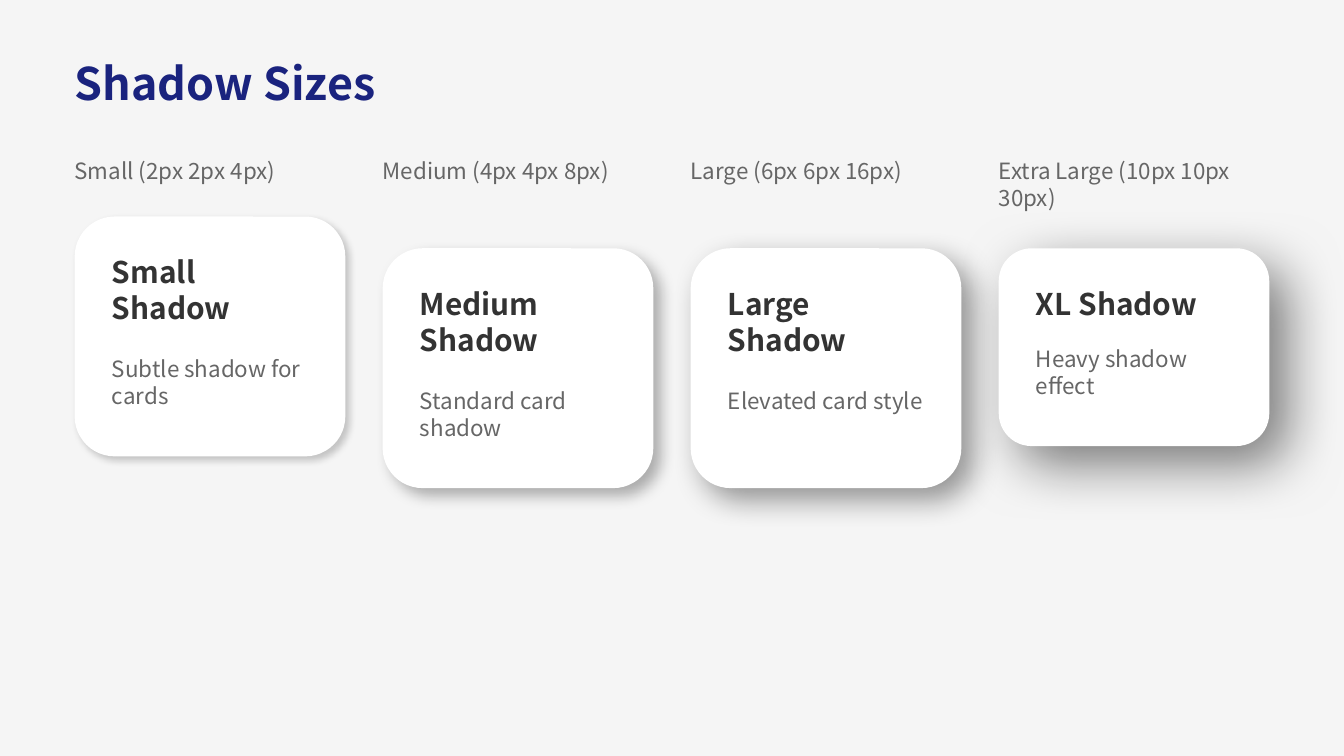
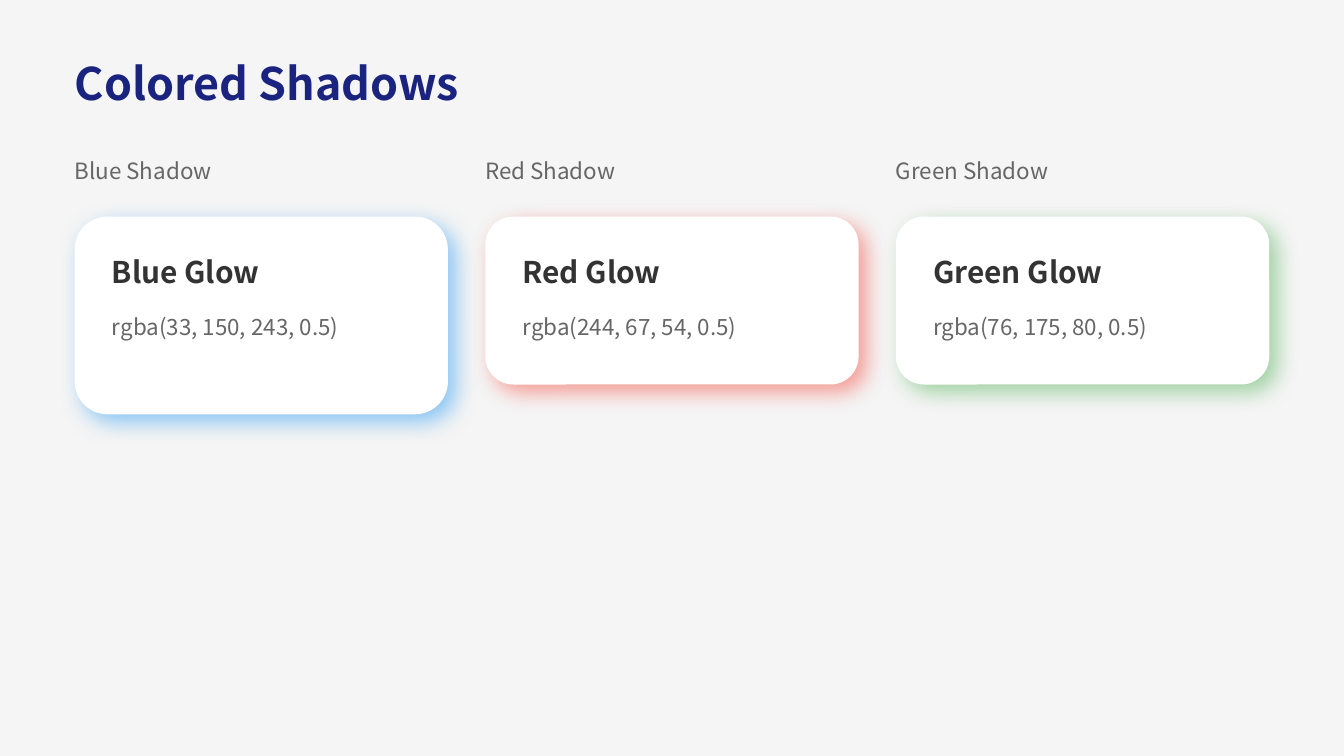
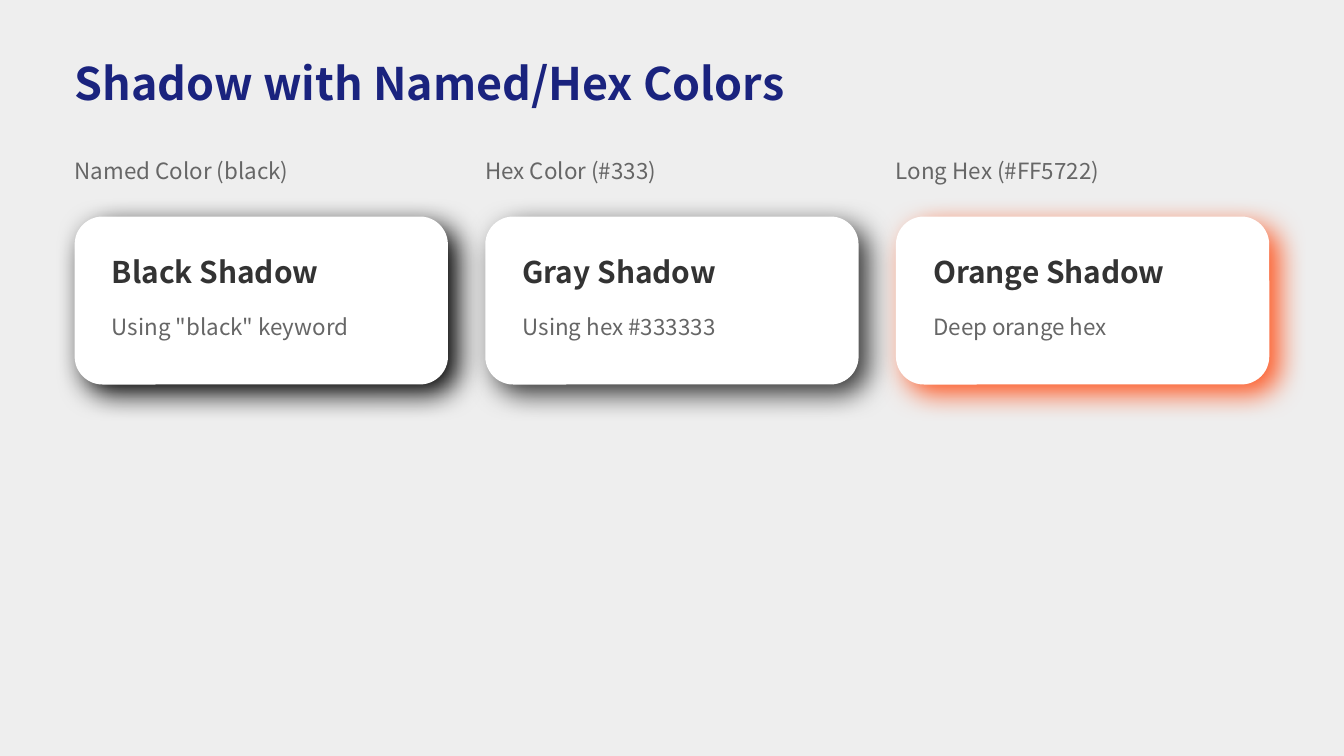
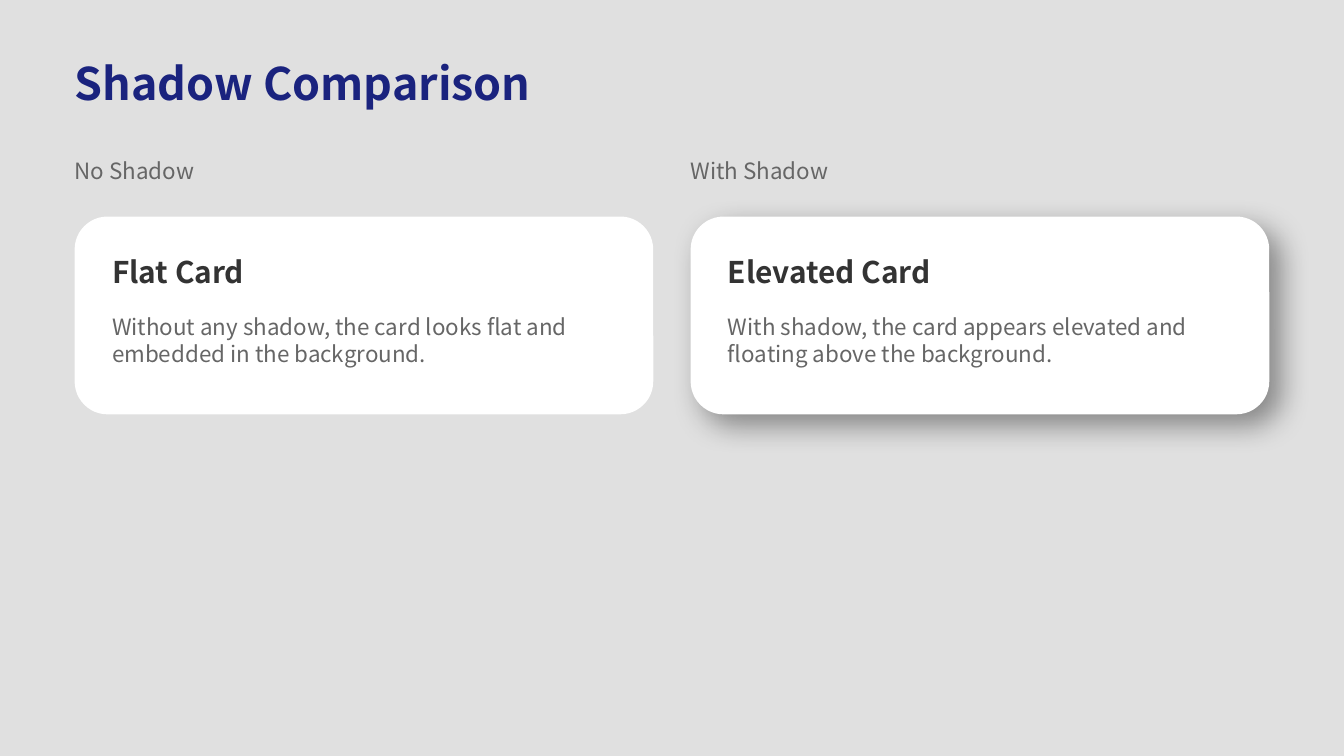
"""Build four slides of cards that show shadow sizes, colours and contrast."""
from dataclasses import dataclass
from math import hypot

from lxml.etree import SubElement as Sub
from pptx import Presentation
from pptx.dml.color import RGBColor as Rgb
from pptx.enum.shapes import MSO_SHAPE as Shape
from pptx.enum.text import MSO_ANCHOR as Anchor, MSO_AUTO_SIZE as Fit, PP_ALIGN as Align
from pptx.oxml.ns import qn
from pptx.util import Pt


@dataclass(frozen=True)
class Theme:
    font: str = "Noto Sans CJK SC"
    card: str = "FFFFFF"
    title: tuple = (24, "1A237E", True)
    head: tuple = (16, "333333", True)
    body: tuple = (12, "666666", False)


@dataclass(frozen=True)
class Shade:
    color: str
    alpha: int
    shift: int
    blur: int


@dataclass(frozen=True)
class Card:
    label: str
    head: str
    body: str
    shade: Shade = None
    rows: tuple = (1, 1, 1)


LOOK = Theme()
PX = 6350
WIDE, HIGH = 1440, 810
EDGE, GAP, PAD = 80, 40, 40
TITLE_TOP, TITLE_H = 60, 68
LABEL_TOP, LABEL_GAP, HEAD_GAP = 168, 28, 18
LABEL_H = {1: 36, 2: 70}
HEAD_H = {1: 46, 2: 91}
BODY_H = {1: 36, 2: 68}

LIFT = Shade("000000", 40, 6, 16)
SLIDES = [
    ("Shadow Sizes", "F5F5F5", [
        Card("Small (2px 2px 4px)", "Small Shadow", "Subtle shadow for cards",
             Shade("000000", 20, 2, 4), (1, 2, 2)),
        Card("Medium (4px 4px 8px)", "Medium Shadow", "Standard card shadow",
             Shade("000000", 30, 4, 8), (2, 2, 2)),
        Card("Large (6px 6px 16px)", "Large Shadow", "Elevated card style",
             LIFT, (2, 2, 2)),
        Card("Extra Large (10px 10px 30px)", "XL Shadow", "Heavy shadow effect",
             Shade("000000", 50, 10, 30), (2, 1, 2)),
    ]),
    ("Colored Shadows", "F5F5F5", [
        Card("Blue Shadow", "Blue Glow", "rgba(33, 150, 243, 0.5)",
             Shade("2196F3", 50, 4, 12), (1, 1, 2)),
        Card("Red Shadow", "Red Glow", "rgba(244, 67, 54, 0.5)",
             Shade("F44336", 50, 4, 12)),
        Card("Green Shadow", "Green Glow", "rgba(76, 175, 80, 0.5)",
             Shade("4CAF50", 50, 4, 12)),
    ]),
    ("Shadow with Named/Hex Colors", "EEEEEE", [
        Card("Named Color (black)", "Black Shadow", 'Using "black" keyword',
             Shade("000000", 100, 5, 15)),
        Card("Hex Color (#333)", "Gray Shadow", "Using hex #333333",
             Shade("333333", 100, 5, 15)),
        Card("Long Hex (#FF5722)", "Orange Shadow", "Deep orange hex",
             Shade("FF5722", 100, 5, 15)),
    ]),
    ("Shadow Comparison", "E0E0E0", [
        Card("No Shadow", "Flat Card",
             "Without any shadow, the card looks flat and embedded in the background.",
             rows=(1, 1, 2)),
        Card("With Shadow", "Elevated Card",
             "With shadow, the card appears elevated and floating above the background.",
             LIFT, (1, 1, 2)),
    ]),
]


def emu(*sizes):
    return [round(size * PX) for size in sizes]


def write(box, text, style):
    size, color, bold = style
    frame = box.text_frame
    frame.word_wrap = True
    frame.auto_size = Fit.NONE
    frame.vertical_anchor = Anchor.TOP
    frame.margin_left = frame.margin_right = 0
    frame.margin_top = frame.margin_bottom = 0
    para = frame.paragraphs[0]
    para.alignment = Align.LEFT
    run = para.add_run()
    run.text = text
    run.font.name = LOOK.font
    run.font.size = Pt(size)
    run.font.bold = bold
    run.font.color.rgb = Rgb.from_string(color)


def cast(shape, shade):
    shape.shadow.inherit = False
    if shade is None:
        return
    glow = shape._element.spPr.find(qn("a:effectLst"))
    outer = Sub(glow, qn("a:outerShdw"), blurRad=str(Pt(shade.blur)),
                dist=str(Pt(hypot(shade.shift, shade.shift))), dir="2700000",
                algn="bl", rotWithShape="0")
    tint = Sub(outer, qn("a:srgbClr"), val=shade.color)
    Sub(tint, qn("a:alpha"), val=str(shade.alpha * 1000))


def draw(slide, card, left, width):
    label_h, head_h, body_h = (
        high[row] for high, row in zip((LABEL_H, HEAD_H, BODY_H), card.rows))
    top = LABEL_TOP + label_h + LABEL_GAP
    head_top = top + PAD
    body_top = head_top + head_h + HEAD_GAP
    inner, text_w = left + PAD, width - 2 * PAD
    group = slide.shapes.add_group_shape().shapes

    panel = group.add_shape(Shape.ROUNDED_RECTANGLE,
                            *emu(left, top, width, body_top + body_h + PAD - top))
    panel.fill.solid()
    panel.fill.fore_color.rgb = Rgb.from_string(LOOK.card)
    panel.line.fill.background()
    cast(panel, card.shade)

    for text, style, place in (
        (card.label, LOOK.body, (left, LABEL_TOP, width, label_h)),
        (card.head, LOOK.head, (inner, head_top, text_w, head_h)),
        (card.body, LOOK.body, (inner, body_top, text_w, body_h)),
    ):
        write(group.add_textbox(*emu(*place)), text, style)


def build(deck, name, back, cards):
    slide = deck.slides.add_slide(deck.slide_layouts.get_by_name("Title Only"))
    fill = slide.background.fill
    fill.solid()
    fill.fore_color.rgb = Rgb.from_string(back)
    title = slide.shapes.title
    title.left, title.top, title.width, title.height = emu(
        EDGE, TITLE_TOP, WIDE - 2 * EDGE, TITLE_H)
    write(title, name, LOOK.title)
    width = (WIDE - 2 * EDGE - GAP * (len(cards) - 1)) / len(cards)
    for col, card in enumerate(cards):
        draw(slide, card, EDGE + col * (width + GAP), width)


def main():
    deck = Presentation()
    deck.slide_width, deck.slide_height = emu(WIDE, HIGH)
    for name, back, cards in SLIDES:
        build(deck, name, back, cards)
    deck.save("out.pptx")


if __name__ == "__main__":
    main()
